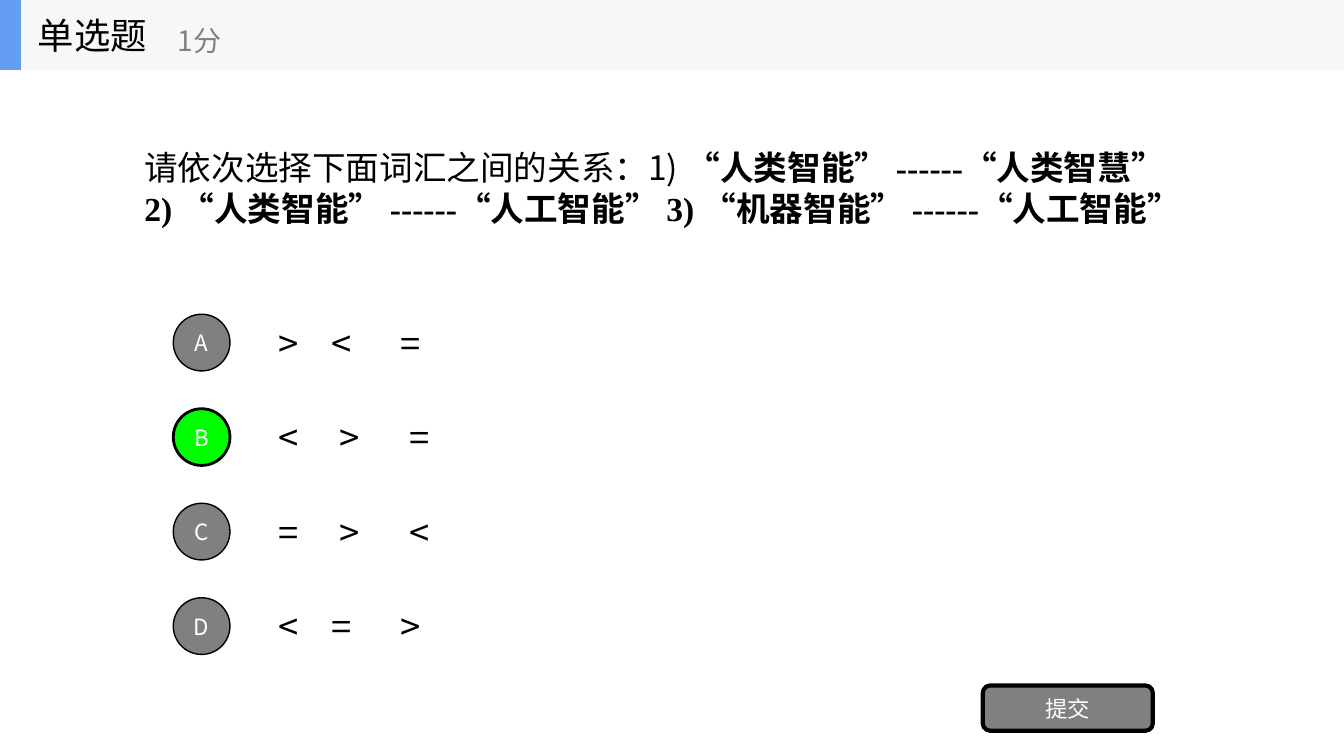
from pptx import Presentation
from pptx.dml.color import RGBColor
from pptx.enum.lang import MSO_LANGUAGE_ID as Language
from pptx.enum.shapes import MSO_SHAPE as Preset
from pptx.enum.text import MSO_ANCHOR as Anchor, PP_ALIGN as Align
from pptx.oxml.ns import qn
from pptx.util import Pt
from lxml import etree

THEME = {
    "sans": "Noto Sans CJK SC",
    "serif": "Times New Roman",
    "black": RGBColor.from_string("000000"),
    "white": RGBColor.from_string("FFFFFF"),
    "gray": RGBColor.from_string("808080"),
    "correct": RGBColor.from_string("00FF00"),
    "band": RGBColor.from_string("F6F7F8"),
    "accent": RGBColor.from_string("639EF4"),
    "title": 26,
    "option": 26,
    "question": 24,
    "score": 20,
    "button": 16,
}


def style(font, size, color, latin=THEME["sans"], bold=False):
    font.size = Pt(THEME[size])
    font.bold = bold
    font.color.rgb = THEME[color]
    font.name = latin
    font.language_id = Language.SIMPLIFIED_CHINESE
    properties = font._element if hasattr(font, "_element") else font._rPr
    etree.SubElement(properties, qn("a:ea")).set("typeface", THEME["sans"])


def add_block(preset, box, fill=None, outline=0, wrap=True):
    bounds = [Pt(length) for length in box]
    if preset is None:
        block = slide.shapes.add_textbox(*bounds)
    else:
        block = slide.shapes.add_shape(preset, *bounds)
        block.shadow.inherit = False
        block.fill.solid()
        block.fill.fore_color.rgb = THEME[fill]
        if outline:
            block.line.color.rgb = THEME["black"]
            block.line.width = Pt(outline)
        else:
            block.line.fill.background()
    block.text_frame.word_wrap = wrap
    block.text_frame.vertical_anchor = Anchor.MIDDLE
    return block.text_frame.paragraphs[0]


deck = Presentation()
deck.slide_width, deck.slide_height = Pt(960), Pt(540)
slide = deck.slides.add_slide(deck.slide_layouts[6])

question = add_block(None, (96, 50, 768, 168))
prompt = question.add_run()
prompt.text = "请依次选择下面词汇之间的关系：1)"
style(prompt.font, "question", "black")
terms = question.add_run()
terms.text = " “人类智能” ------“人类智慧” 2) “人类智能” ------“人工智能” 3) “机器智能” ------“人工智能”"
style(terms.font, "question", "black", THEME["serif"], True)

narrow, wide = (38, 87), (43.5, 93.5)
options = [
    ("A", "><=", narrow),
    ("B", "<>=", wide),
    ("C", "=><", wide),
    ("D", "<=>", narrow),
]
answer = "B"
buttons = []
for row, (letter, relations, stops) in enumerate(options):
    top = 219.5 + row * 67.5
    relation = add_block(None, (192, top, 672, 50.4))
    tabs = etree.SubElement(relation._p.get_or_add_pPr(), qn("a:tabLst"))
    for stop in stops:
        etree.SubElement(tabs, qn("a:tab"), pos=str(Pt(stop)), algn="l")
    relation.text = "\t".join(relations)
    style(relation.font, "option", "black")
    fill, outline = ("correct", 2) if letter == answer else ("gray", 1)
    buttons.append((letter, Preset.OVAL, (123.75, top + 4.95, 40.5, 40.5), fill, outline))
buttons.append(("提交", Preset.ROUNDED_RECTANGLE, (702, 489.6, 121.5, 32.4), "gray", 3))

for label, preset, box, fill, outline in buttons:
    button = add_block(preset, box, fill, outline)
    button.text = label
    button.alignment = Align.CENTER
    style(button.font, "button", "white")

add_block(Preset.RECTANGLE, (0, 0, 960, 50), "band")
add_block(Preset.RECTANGLE, (0, 0, 15, 50), "accent")
for text, box, size, color in [
    ("单选题", (20, 0, 150, 50), "title", "black"),
    ("1分", (120, 9, 180, 40), "score", "gray"),
]:
    heading = add_block(None, box, wrap=False)
    heading.text = text
    style(heading.font, size, color)

deck.save("out.pptx")
